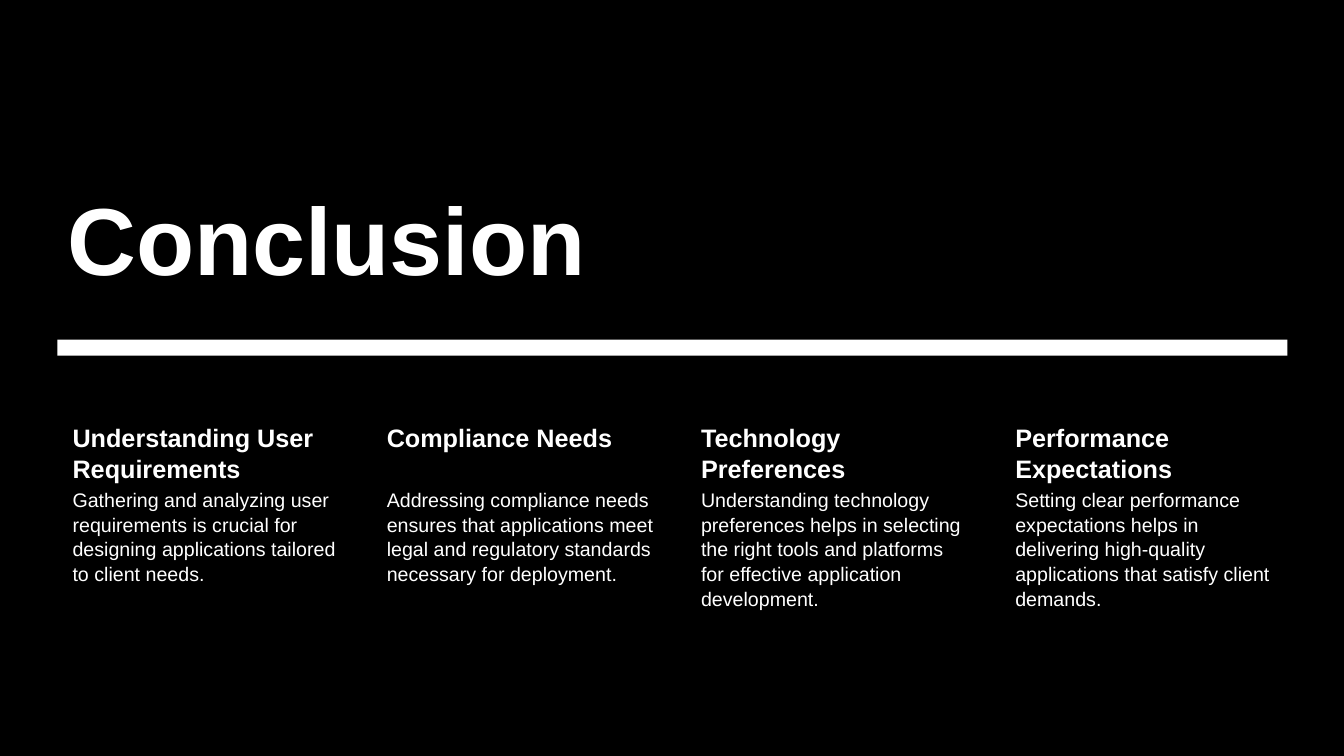
from dataclasses import dataclass

from pptx import Presentation
from pptx.dml.color import RGBColor
from pptx.enum.shapes import MSO_SHAPE
from pptx.enum.text import MSO_ANCHOR, MSO_AUTO_SIZE, PP_ALIGN
from pptx.util import Inches, Pt


@dataclass(frozen=True)
class Theme:
    font: str = "Arial"
    background: RGBColor = RGBColor(0x00, 0x00, 0x00)
    foreground: RGBColor = RGBColor(0xFF, 0xFF, 0xFF)
    title_size: int = 68
    heading_size: int = 18
    body_size: int = 14


def write(tf, text, theme, size, bold=False, anchor=MSO_ANCHOR.TOP,
          spacing=1.05, after=0):
    tf.word_wrap = True
    tf.auto_size = MSO_AUTO_SIZE.NONE
    tf.vertical_anchor = anchor
    p = tf.paragraphs[0]
    p.alignment = PP_ALIGN.LEFT
    p.line_spacing = spacing
    p.space_after = Pt(after)
    r = p.add_run()
    r.text = text
    r.font.name = theme.font
    r.font.size = Pt(size)
    r.font.bold = bold
    r.font.color.rgb = theme.foreground


class SlideBuilder:
    def __init__(self, slide, theme):
        self.s = slide
        self.theme = theme

    def background(self):
        fill = self.s.background.fill
        fill.solid()
        fill.fore_color.rgb = self.theme.background

    def rect(self, left, top, width, height, color):
        sp = self.s.shapes.add_shape(
            MSO_SHAPE.RECTANGLE, Inches(left), Inches(top),
            Inches(width), Inches(height))
        sp.shadow.inherit = False
        sp.fill.solid()
        sp.fill.fore_color.rgb = color
        sp.line.fill.background()

    def title(self, text, left, top, width, height):
        sp = self.s.shapes.title
        self.s.shapes._spTree.append(sp._element)
        sp.left, sp.top = Inches(left), Inches(top)
        sp.width, sp.height = Inches(width), Inches(height)
        write(sp.text_frame, text, self.theme, self.theme.title_size,
              bold=True, anchor=MSO_ANCHOR.BOTTOM, spacing=0.9)

    def text(self, text, left, top, width, height, inset, size, bold=False):
        sp = self.s.shapes.add_textbox(
            Inches(left), Inches(top), Inches(width), Inches(height))
        tf = sp.text_frame
        tf.margin_left = Inches(0.15)
        tf.margin_top = tf.margin_right = tf.margin_bottom = Inches(inset)
        write(tf, text, self.theme, size, bold=bold, after=0.35 * size)


TAKEAWAYS = [
    ("Understanding User Requirements",
     "Gathering and analyzing user requirements is crucial for designing "
     "applications tailored to client needs."),
    ("Compliance Needs",
     "Addressing compliance needs ensures that applications meet legal and "
     "regulatory standards necessary for deployment."),
    ("Technology Preferences",
     "Understanding technology preferences helps in selecting the right tools "
     "and platforms for effective application development."),
    ("Performance Expectations",
     "Setting clear performance expectations helps in delivering high-quality "
     "applications that satisfy client demands."),
]

LEFT, WIDTH = 0.57, 12.2
COLUMN_WIDTH = 2.83
COLUMN_PITCH = (9.92 - LEFT) / (len(TAKEAWAYS) - 1)


def main():
    theme = Theme()
    prs = Presentation()
    prs.slide_width, prs.slide_height = Inches(13.33), Inches(7.5)
    b = SlideBuilder(prs.slides.add_slide(prs.slide_layouts[5]), theme)

    b.background()
    b.rect(0, 0, 13.33, 7.5, theme.background)
    b.rect(LEFT, 3.37, WIDTH, 0.16, theme.foreground)
    b.title("Conclusion", LEFT, 1.45, WIDTH, 1.54)
    for i, (heading, body) in enumerate(TAKEAWAYS):
        left = LEFT + i * COLUMN_PITCH
        b.text(heading, left, 4.14, COLUMN_WIDTH, 0.66, 0.03,
               theme.heading_size, bold=True)
        b.text(body, left, 4.81, COLUMN_WIDTH, 2.04, 0.02, theme.body_size)

    prs.save("out.pptx")


if __name__ == "__main__":
    main()
